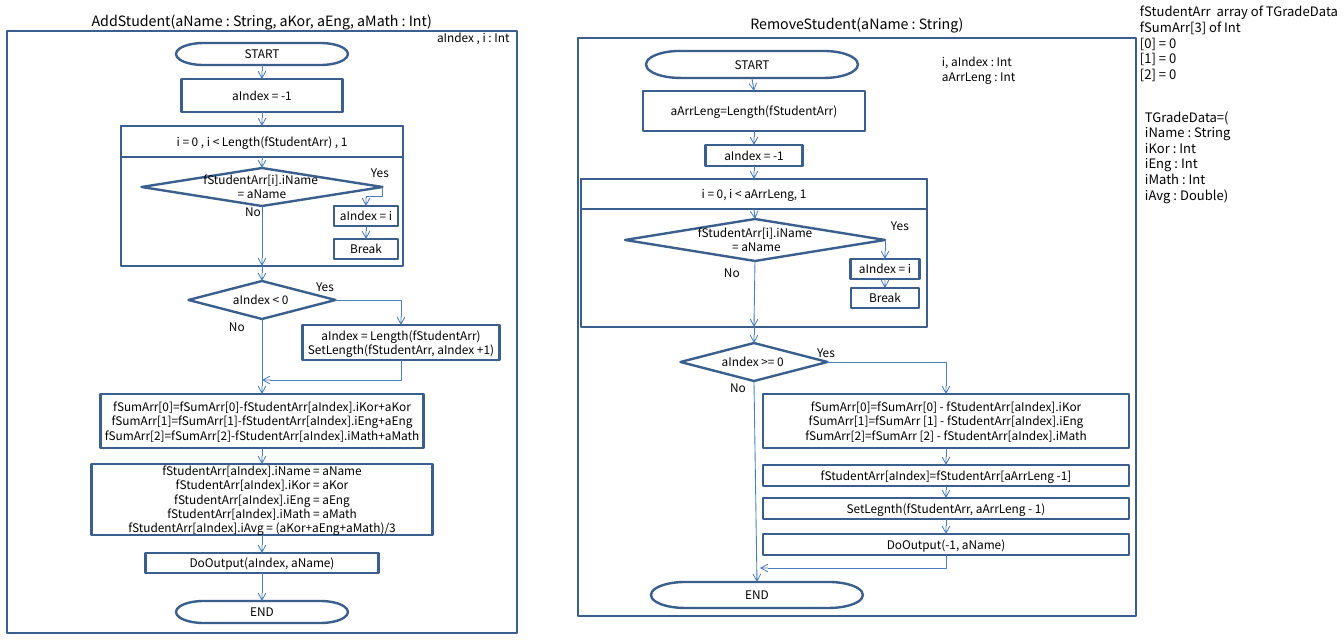
import pptx
import pptx.util
import pptx.dml.color
import pptx.enum.shapes
import pptx.enum.text
import pptx.oxml
import pptx.oxml.ns

FONT, INK, EDGE, WIRE = "Noto Sans CJK KR", "000000", "3A5F8C", "4B7EBC"

# Boxes: key -> (form, centre x, top, width, height, lines)
BOXES = {
    "add frame": ("rect", 262, 31, 510, 602, []),
    "add start": ("term", 262, 43, 172, 22, ["START"]),
    "add init": ("rect", 262, 79, 161, 33, ["aIndex = -1"]),
    "add loop": ("rect", 262, 126, 282, 140, []),
    "add head": ("rect", 262, 126, 282, 31, ["i = 0 , i < Length(fStudentArr) , 1"]),
    "add match": ("test", 262, 168, 241, 38, ["fStudentArr[i].iName ", "= aName"]),
    "add found": ("rect", 366, 206, 64, 20, ["aIndex = i"]),
    "add break": ("rect", 366, 239, 64, 20, ["Break"]),
    "add new": ("test", 262, 281, 147, 38, ["aIndex < 0 "]),
    "add grow": ("rect", 401, 325, 197, 35, [
        "aIndex = Length(fStudentArr)", "SetLength(fStudentArr, aIndex +1)"]),
    "add sum": ("rect", 262, 394, 323, 54, [
        "fSumArr[0]=fSumArr[0]-fStudentArr[aIndex].iKor+aKor",
        "fSumArr[1]=fSumArr[1]-fStudentArr[aIndex].iEng+aEng",
        "fSumArr[2]=fSumArr[2]-fStudentArr[aIndex].iMath+aMath"]),
    "add store": ("rect", 262, 464, 341, 71, [
        "fStudentArr[aIndex].iName = aName", "fStudentArr[aIndex].iKor = aKor",
        "fStudentArr[aIndex].iEng = aEng", "fStudentArr[aIndex].iMath = aMath",
        "fStudentArr[aIndex].iAvg = (aKor+aEng+aMath)/3"]),
    "add out": ("rect", 262, 553, 233, 20, ["DoOutput(aIndex, aName)"]),
    "add end": ("term", 262, 601, 172, 22, ["END"]),
    "del frame": ("rect", 857, 38, 558, 578, []),
    "del start": ("term", 752, 51, 212, 27, ["START"]),
    "del len": ("rect", 754, 91, 222, 40, ["aArrLeng=Length(fStudentArr)"]),
    "del init": ("rect", 754, 145, 97, 21, ["aIndex = -1"]),
    "del loop": ("rect", 754, 179, 346, 148, []),
    "del head": ("rect", 754, 179, 346, 30, ["i = 0, i < aArrLeng, 1"]),
    "del match": ("test", 755, 219, 260, 42, ["fStudentArr[i].iName", " = aName"]),
    "del found": ("rect", 885, 259, 69, 20, ["aIndex = i"]),
    "del break": ("rect", 885, 288, 68, 20, ["Break"]),
    "del has": ("test", 754, 343, 147, 38, ["aIndex >= 0 "]),
    "del sum": ("rect", 946, 394, 366, 54, [
        "fSumArr[0]=fSumArr[0] - fStudentArr[aIndex].iKor",
        "fSumArr[1]=fSumArr [1] - fStudentArr[aIndex].iEng",
        "fSumArr[2]=fSumArr [2] - fStudentArr[aIndex].iMath"]),
    "del swap": ("rect", 946, 465, 366, 21, ["fStudentArr[aIndex]=fStudentArr[aArrLeng -1]"]),
    "del cut": ("rect", 946, 498, 366, 21, ["SetLegnth(fStudentArr, aArrLeng - 1)"]),
    "del out": ("rect", 946, 534, 366, 21, ["DoOutput(-1, aName)"]),
    "del end": ("term", 757, 582, 212, 26, ["END"]),
}

# Downward chains; entering a loop box from its test ends at the loop's foot
CHAINS = [
    "add: start init head match loop new sum store out end",
    "add: found break",
    "del: start len init head match loop has end",
    "del: match/found break",
    "del: sum swap cut out",
]

# Side exits (test, box, preset, quarter turns) and joins (box, x, y)
EXITS = [("add match", "add found", "bentConnector3", 1),
         ("add new", "add grow", "bentConnector2", 0),
         ("del has", "del sum", "bentConnector2", 0)]
JOINS = [("add grow", 262, 380), ("del out", 760, 568)]

# Titles: (left, top, width, height, text)
TITLES = [
    (7, 11, 510, 19, "AddStudent(aName : String, aKor, aEng, aMath : Int)"),
    (578, 11, 558, 26, "RemoveStudent(aName : String)"),
]
# Notes: (left, top, width, size, lines)
NOTES = [
    (437, 31, 80, 10, ["aIndex , i : Int"]),
    (942, 55, 90, 10, ["i, aIndex : Int", "aArrLeng : Int"]),
    (1140, 4, 203, 11, ["fStudentArr  array of TGradeData", "fSumArr[3] of Int",
                        "[0] = 0", "[1] = 0", "[2] = 0"]),
    (1145, 109, 110, 11, ["TGradeData=(", "iName : String", "iKor : Int",
                          "iEng : Int", "iMath : Int", "iAvg : Double)"]),
]
MARKS = {"Yes": [(371, 166), (316, 280), (891, 219), (817, 346)],
         "No": [(245, 205), (229, 320), (724, 266), (730, 381)]}
NOTES += [(x, y, 30, 10, [word]) for word, spots in MARKS.items() for x, y in spots]

MSO = pptx.enum.shapes.MSO_SHAPE
FORMS = {"rect": MSO.RECTANGLE, "term": MSO.FLOWCHART_TERMINATOR,
         "test": MSO.FLOWCHART_DECISION}
ALIGN = pptx.enum.text.PP_ALIGN
ANCHOR = pptx.enum.text.MSO_ANCHOR
LINK = pptx.enum.shapes.MSO_CONNECTOR


def px(*nums):
    return [round(n * 914400 * 3 / 256) for n in nums]


def tint(code):
    return pptx.dml.color.RGBColor.from_string(code)


deck = pptx.Presentation()
deck.slide_width, deck.slide_height = px(1344, 640)
slide = deck.slides.add_slide(deck.slide_layouts[6])
parts = slide.shapes


def write(shape, lines, size, align, anchor, pad=0):
    frame = shape.text_frame
    frame.word_wrap = True
    frame.vertical_anchor = anchor
    frame.margin_left = frame.margin_right = 0
    frame.margin_top = frame.margin_bottom = px(pad)[0]
    for n, line in enumerate(lines):
        para = frame.add_paragraph() if n else frame.paragraphs[0]
        para.alignment = align
        run = para.add_run()
        run.text = line
        run.font.size = pptx.util.Pt(size)
        run.font.name = FONT
        run.font.color.rgb = tint(INK)


def wire(x1, y1, x2, y2, preset="line", turn=0):
    if turn:  # a quarter turn swaps the box's sides about its centre
        mx, my = (x1 + x2) / 2, (y1 + y2) / 2
        dx, dy = abs(x2 - x1) / 2, abs(y2 - y1) / 2
        x1, y1, x2, y2 = mx - dy, my - dx, mx + dy, my + dx
    kind = LINK.STRAIGHT if preset == "line" else LINK.ELBOW
    link = parts.add_connector(kind, *px(x1, y1, x2, y2))
    link.line.color.rgb = tint(WIRE)
    link.line.width = pptx.util.Pt(0.75)
    props = link._element.spPr
    qn = pptx.oxml.ns.qn
    props.find(qn("a:prstGeom")).set("prst", preset)
    if turn:
        props.find(qn("a:xfrm")).set("rot", str(turn * 5400000))
    space = pptx.oxml.ns.nsdecls("a")
    props.find(qn("a:ln")).append(
        pptx.oxml.parse_xml(f'<a:tailEnd {space} type="arrow"/>'))
    props.append(pptx.oxml.parse_xml(f"<a:effectLst {space}/>"))


def foot(key):
    form, mid, top, wide, high, lines = BOXES[key]
    return mid, top + high


def side(key):
    form, mid, top, wide, high, lines = BOXES[key]
    return mid + wide / 2, top + high / 2


def head(key):
    return BOXES[key][1:3]


# Boxes
for form, mid, top, wide, high, lines in BOXES.values():
    box = parts.add_shape(FORMS[form], *px(mid - wide / 2, top, wide, high))
    box.shadow.inherit = False
    box.fill.background()
    box.line.color.rgb = tint(EDGE)
    box.line.width = pptx.util.Pt(2)
    write(box, lines, 10, ALIGN.CENTER, ANCHOR.MIDDLE, 1 if form == "test" else 0)

# Titles and notes
for left, top, wide, high, text in TITLES:
    write(parts.add_textbox(*px(left, top, wide, high)), [text], 12,
          ALIGN.CENTER, ANCHOR.MIDDLE)
for left, top, wide, size, lines in NOTES:
    box = parts.add_textbox(*px(left, top, wide, len(lines) * size * 1.45))
    write(box, lines, size, ALIGN.LEFT, ANCHOR.TOP)

# Straight arrows
for chain in CHAINS:
    group, names = chain.split(": ")
    steps = names.split()
    if "/" in steps[0]:
        test, first = steps[0].split("/")
        wire(*side(f"{group} {test}"), *head(f"{group} {first}"))
        steps[0] = first
    for one, two in zip(steps, steps[1:]):
        goal = foot if two == "loop" else head
        wire(*foot(f"{group} {one}"), *goal(f"{group} {two}"))

# Elbow arrows
for test, goal, preset, turn in EXITS:
    wire(*side(test), *head(goal), preset, turn)
for key, x, y in JOINS:
    wire(*foot(key), x, y, "bentConnector2", 1)

deck.save("out.pptx")
